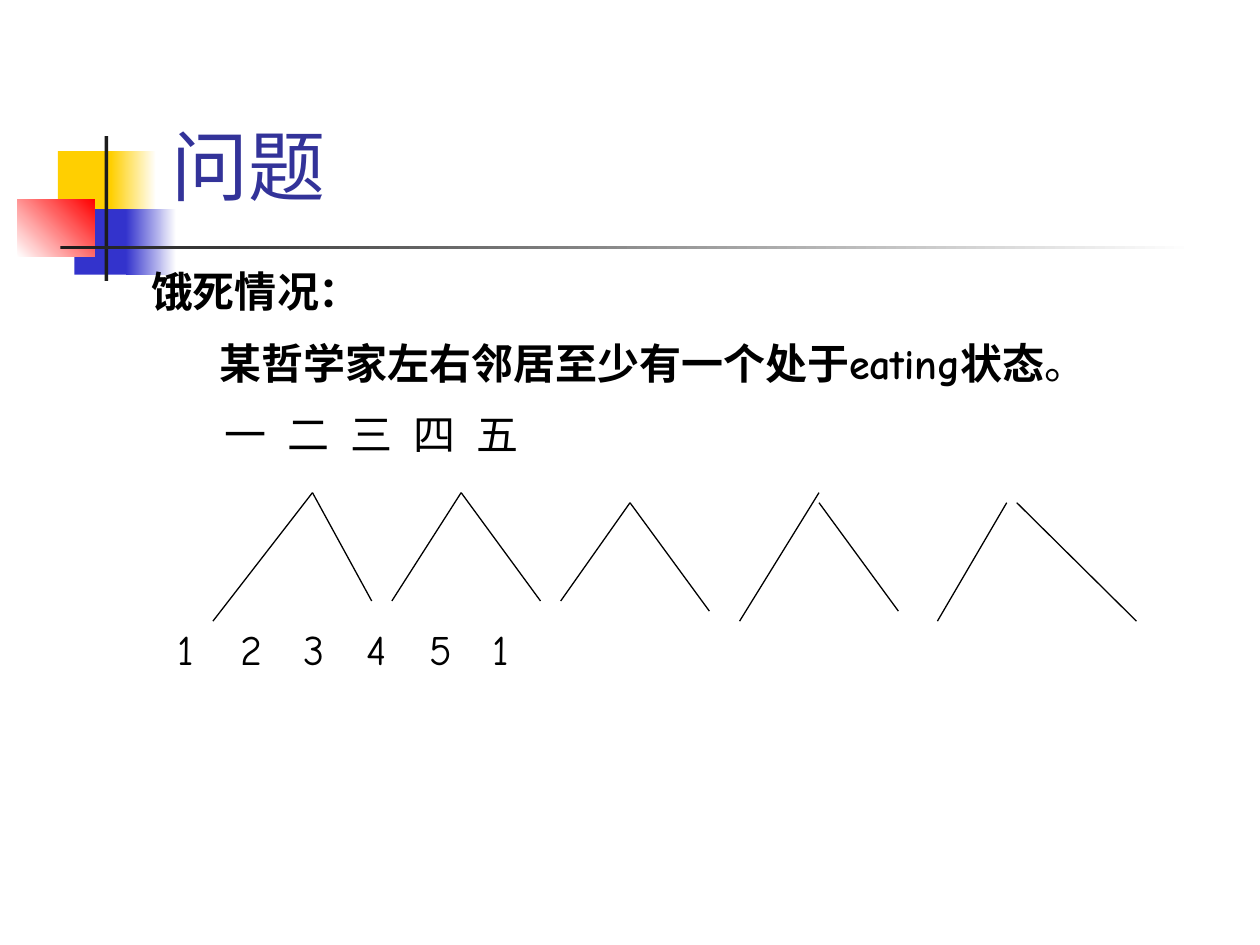
import pptx
import pptx.dml.color
import pptx.enum.shapes
import pptx.enum.text
import pptx.oxml
import pptx.oxml.ns
import pptx.util
from pptx.dml.color import RGBColor
from pptx.util import Inches

WHITE = RGBColor(0xFF, 0xFF, 0xFF)
BLACK = RGBColor(0x00, 0x00, 0x00)
YELLOW = RGBColor(0xFF, 0xCF, 0x01)
BLUE = RGBColor(0x33, 0x33, 0xCC)
RED = RGBColor(0xFF, 0x00, 0x00)
CHARCOAL = RGBColor(0x1C, 0x1C, 0x1C)
TITLE_BLUE = RGBColor(0x33, 0x33, 0x99)

TITLE_FONT = "Karla"
BODY_FONT = "Comic Neue"

ORNAMENTS = [
    (0.46, 1.2, 0.48, 0.52, [YELLOW], 0),
    (0.88, 1.2, 0.36, 0.52, [YELLOW, WHITE], 0),
    (0.59, 1.66, 0.46, 0.52, [BLUE], 0),
    (1, 1.66, 0.4, 0.52, [BLUE, WHITE], 0),
    (0.14, 1.58, 0.61, 0.46, [WHITE, RED], 45),
    (0.83, 1.08, 0.03, 1.15, [CHARCOAL], 0),
    (0.48, 1.95, 9, 0.03, [CHARCOAL, WHITE], 0),
]

PHILOSOPHERS = [(0.58, "一"), (1.29, "二"), (2.21, "三"), (3.07, "四"), (4, "五")]
FORKS = [(0.21, "1"), (1.36, "2"), (2.41, "3"), (3.36, "4"), (4.64, "5"), (6.03, "1")]

BRANCHES = [
    ((2.48, 3.91), (1.69, 4.93)),
    ((2.48, 3.91), (2.95, 4.77)),
    ((3.66, 3.91), (3.11, 4.77)),
    ((3.66, 3.91), (4.29, 4.77)),
    ((5, 3.99), (4.45, 4.77)),
    ((5, 3.99), (5.63, 4.85)),
    ((6.5, 3.91), (5.87, 4.93)),
    ((6.5, 3.99), (7.13, 4.85)),
    ((7.99, 3.99), (7.44, 4.93)),
    ((8.07, 3.99), (9.02, 4.93)),
]


def add_ornament(slide, left, top, width, height, colors, angle):
    shape = slide.shapes.add_shape(
        pptx.enum.shapes.MSO_SHAPE.RECTANGLE,
        Inches(left), Inches(top), Inches(width), Inches(height),
    )
    shape.shadow.inherit = False
    shape.line.fill.background()
    if len(colors) == 1:
        shape.fill.solid()
        shape.fill.fore_color.rgb = colors[0]
        return
    shape.fill.gradient()
    shape.fill.gradient_angle = angle
    for stop, color, position in zip(shape.fill.gradient_stops, colors, (0, 1)):
        stop.color.rgb = color
        stop.position = position


def add_run(paragraph, text, font_name, size, color, bold=False):
    run = paragraph.add_run()
    run.text = text
    run.font.name = font_name
    run.font.size = pptx.util.Pt(size)
    run.font.bold = bold
    run.font.color.rgb = color


def format_title(slide, text):
    title = slide.shapes.title
    title.left, title.top = Inches(1.26), Inches(0.68)
    title.width, title.height = Inches(8.52), Inches(1.25)
    title.text_frame.vertical_anchor = pptx.enum.text.MSO_ANCHOR.MIDDLE
    paragraph = title.text_frame.paragraphs[0]
    paragraph.alignment = pptx.enum.text.PP_ALIGN.LEFT
    add_run(paragraph, text, TITLE_FONT, 44, TITLE_BLUE)


def add_text_row(paragraph, runs, space_before=0, indent=0):
    paragraph.space_before = pptx.util.Pt(space_before)
    properties = paragraph._p.get_or_add_pPr()
    properties.set("marL", str(Inches(indent)))
    properties.set("indent", "0")
    for text, bold in runs:
        add_run(paragraph, text, BODY_FONT, 24, BLACK, bold)


def add_label_row(paragraph, labels, space_before):
    (indent, first), *others = labels
    add_text_row(paragraph, [(first, False)], space_before, indent)
    tabs = pptx.oxml.ns.qn("a:tabLst")
    tab_list = paragraph._p.get_or_add_pPr().makeelement(tabs, {})
    paragraph._p.get_or_add_pPr().append(tab_list)
    for position, label in others:
        tab = tab_list.makeelement(
            pptx.oxml.ns.qn("a:tab"), {"pos": str(Inches(position)), "algn": "l"}
        )
        tab_list.append(tab)
        add_run(paragraph, "\t" + label, BODY_FONT, 24, BLACK)


def add_body(slide):
    box = slide.shapes.add_textbox(Inches(1.1), Inches(2.06), Inches(8.42), Inches(5.29))
    frame = box.text_frame
    frame.word_wrap = True
    add_text_row(frame.paragraphs[0], [("饿死情况：", True)])
    sentence = [("某哲学家左右邻居至少有一个处于eating状态", True), ("。", False)]
    add_text_row(frame.add_paragraph(), sentence, 12, 0.54)
    add_label_row(frame.add_paragraph(), PHILOSOPHERS, 12)
    add_label_row(frame.add_paragraph(), FORKS, 94)


def add_branch(slide, start, end):
    connector = slide.shapes.add_connector(
        pptx.enum.shapes.MSO_CONNECTOR.STRAIGHT,
        *(Inches(value) for value in start + end),
    )
    connector.line.color.rgb = BLACK
    connector.line.width = pptx.util.Pt(0.75)
    properties = connector._element.spPr
    properties.append(properties.makeelement(pptx.oxml.ns.qn("a:effectLst"), {}))


def main():
    presentation = pptx.Presentation()
    presentation.slide_width = Inches(10)
    presentation.slide_height = Inches(7.5)
    slide = presentation.slides.add_slide(presentation.slide_layouts[5])
    for ornament in ORNAMENTS:
        add_ornament(slide, *ornament)
    format_title(slide, "问题")
    add_body(slide)
    for start, end in BRANCHES:
        add_branch(slide, start, end)
    presentation.save("out.pptx")


if __name__ == "__main__":
    main()
